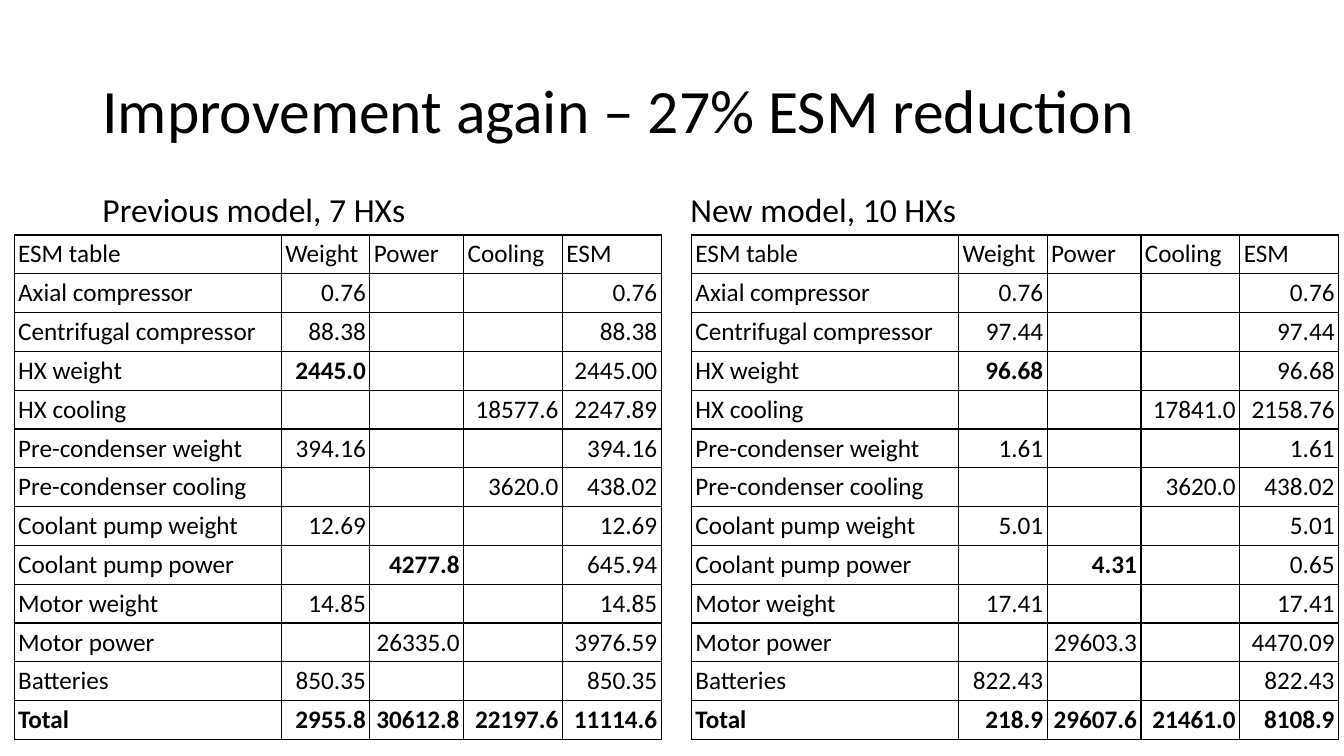
from lxml.etree import SubElement
from pptx import Presentation
from pptx.dml.color import RGBColor
from pptx.enum.text import MSO_ANCHOR as ANCHOR, MSO_AUTO_SIZE as AUTO, PP_ALIGN as ALIGN
from pptx.oxml.ns import qn
from pptx.util import Pt

BLACK = RGBColor(0, 0, 0)
FONT = "Calibri"
COLS = [190.8, 63.3, 67, 70.6, 70.6]
ROW_H = 27.68
HEADER = ["ESM table", "Weight", "Power", "Cooling", "ESM"]
LABELS = ["Axial compressor", "Centrifugal compressor", "HX weight", "HX cooling",
          "Pre-condenser weight", "Pre-condenser cooling", "Coolant pump weight",
          "Coolant pump power", "Motor weight", "Motor power", "Batteries", "Total"]
BOLD = {(3, 1), (8, 2)} | {(12, c) for c in range(5)}
PREVIOUS = [
    ["0.76", "", "", "0.76"],
    ["88.38", "", "", "88.38"],
    ["2445.0", "", "", "2445.00"],
    ["", "", "18577.6", "2247.89"],
    ["394.16", "", "", "394.16"],
    ["", "", "3620.0", "438.02"],
    ["12.69", "", "", "12.69"],
    ["", "4277.8", "", "645.94"],
    ["14.85", "", "", "14.85"],
    ["", "26335.0", "", "3976.59"],
    ["850.35", "", "", "850.35"],
    ["2955.8", "30612.8", "22197.6", "11114.6"],
]
NEW = [
    ["0.76", "", "", "0.76"],
    ["97.44", "", "", "97.44"],
    ["96.68", "", "", "96.68"],
    ["", "", "17841.0", "2158.76"],
    ["1.61", "", "", "1.61"],
    ["", "", "3620.0", "438.02"],
    ["5.01", "", "", "5.01"],
    ["", "4.31", "", "0.65"],
    ["17.41", "", "", "17.41"],
    ["", "29603.3", "", "4470.09"],
    ["822.43", "", "", "822.43"],
    ["218.9", "29607.6", "21461.0", "8108.9"],
]


def add_run(p, text, size, bold=False):
    r = p.add_run()
    r.text = text
    r.font.name = FONT
    r.font.size = Pt(size)
    r.font.bold = bold
    r.font.color.rgb = BLACK


def add_borders(cell):
    tcPr = cell._tc.get_or_add_tcPr()
    for side in ("lnL", "lnR", "lnT", "lnB"):
        ln = SubElement(tcPr, qn(f"a:{side}"), w=str(Pt(1)))
        fill = SubElement(ln, qn("a:solidFill"))
        SubElement(fill, qn("a:srgbClr"), val=str(BLACK))


prs = Presentation()
prs.slide_width, prs.slide_height = Pt(960), Pt(540)
s = prs.slides.add_slide(prs.slide_layouts[4])
ph = {sp.placeholder_format.idx: sp for sp in s.placeholders}
for idx in (2, 4):
    ph[idx].element.getparent().remove(ph[idx].element)

for idx, text, box, size, anchor in [
    (0, "Improvement again – 27% ESM reduction", (66, 28.8, 828, 104.4), 44, ANCHOR.MIDDLE),
    (1, "Previous model, 7 HXs", (66, 132.5, 406, 35.3), 24, ANCHOR.BOTTOM),
    (3, "New model, 10 HXs", (486, 132.5, 408, 35.3), 24, ANCHOR.BOTTOM),
]:
    sp = ph[idx]
    sp.left, sp.top, sp.width, sp.height = map(Pt, box)
    tf = sp.text_frame
    tf.word_wrap = True
    tf.auto_size = AUTO.NONE
    tf.vertical_anchor = anchor
    p = tf.paragraphs[0]
    p.alignment = ALIGN.LEFT
    p.line_spacing = 0.9
    p.space_before = Pt(0)
    add_run(p, text, size)

for left, values in [(10.1, PREVIOUS), (493.9, NEW)]:
    rows = [HEADER] + [[label] + row for label, row in zip(LABELS, values)]
    table = s.shapes.add_table(len(rows), len(COLS), Pt(left), Pt(167.8),
                               Pt(sum(COLS)), Pt(ROW_H * len(rows))).table
    table.first_row = False
    table.horz_banding = False
    for col, width in zip(table.columns, COLS):
        col.width = Pt(width)
    for i, row in enumerate(rows):
        table.rows[i].height = Pt(ROW_H)
        for j, text in enumerate(row):
            cell = table.cell(i, j)
            add_borders(cell)
            cell.fill.background()
            cell.vertical_anchor = ANCHOR.BOTTOM
            cell.margin_left = cell.margin_right = Pt(2.88)
            cell.margin_top = cell.margin_bottom = Pt(2.88)
            p = cell.text_frame.paragraphs[0]
            p.alignment = ALIGN.RIGHT if i and j else ALIGN.LEFT
            if text:
                add_run(p, text, 18, (i, j) in BOLD)

prs.save("out.pptx")
